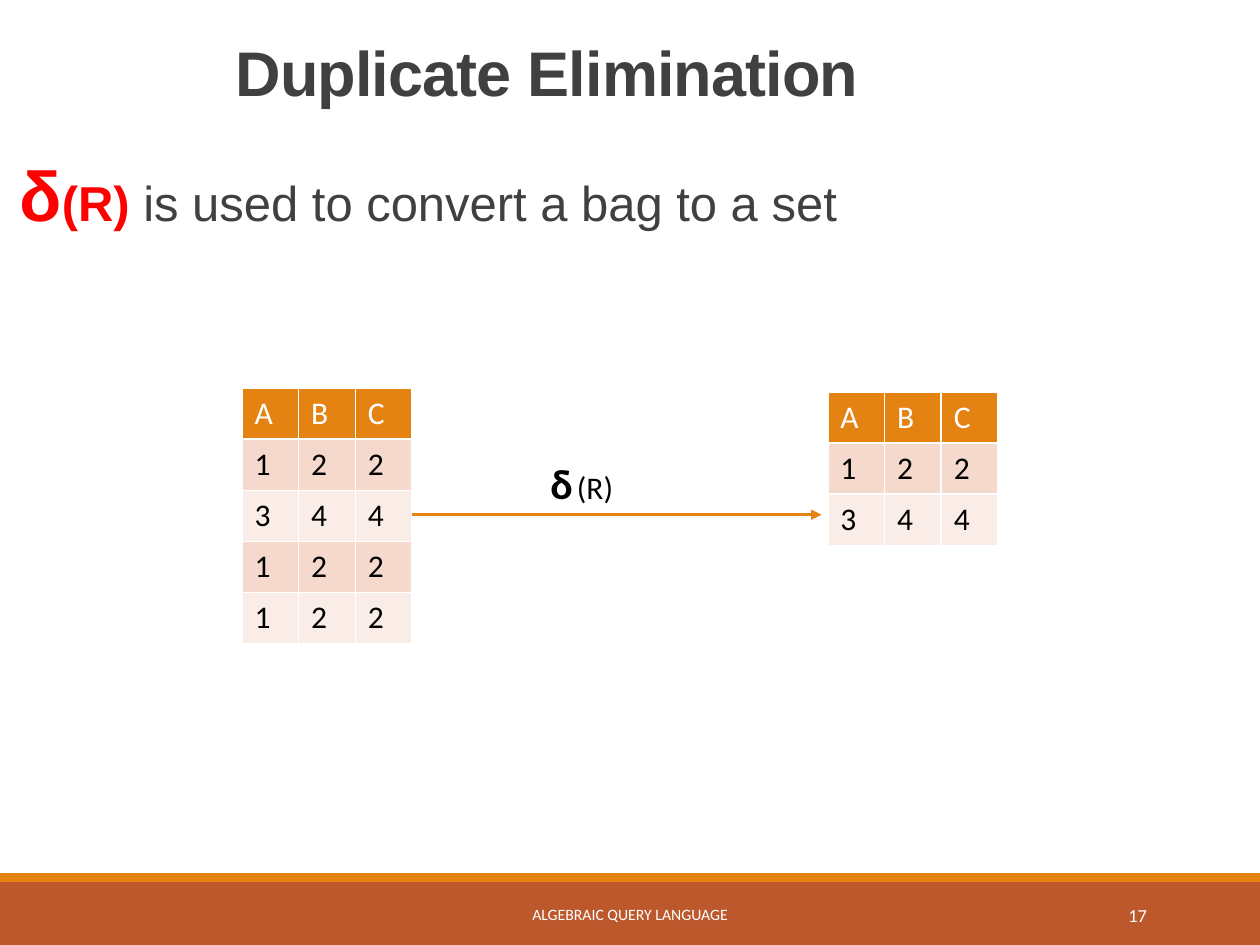
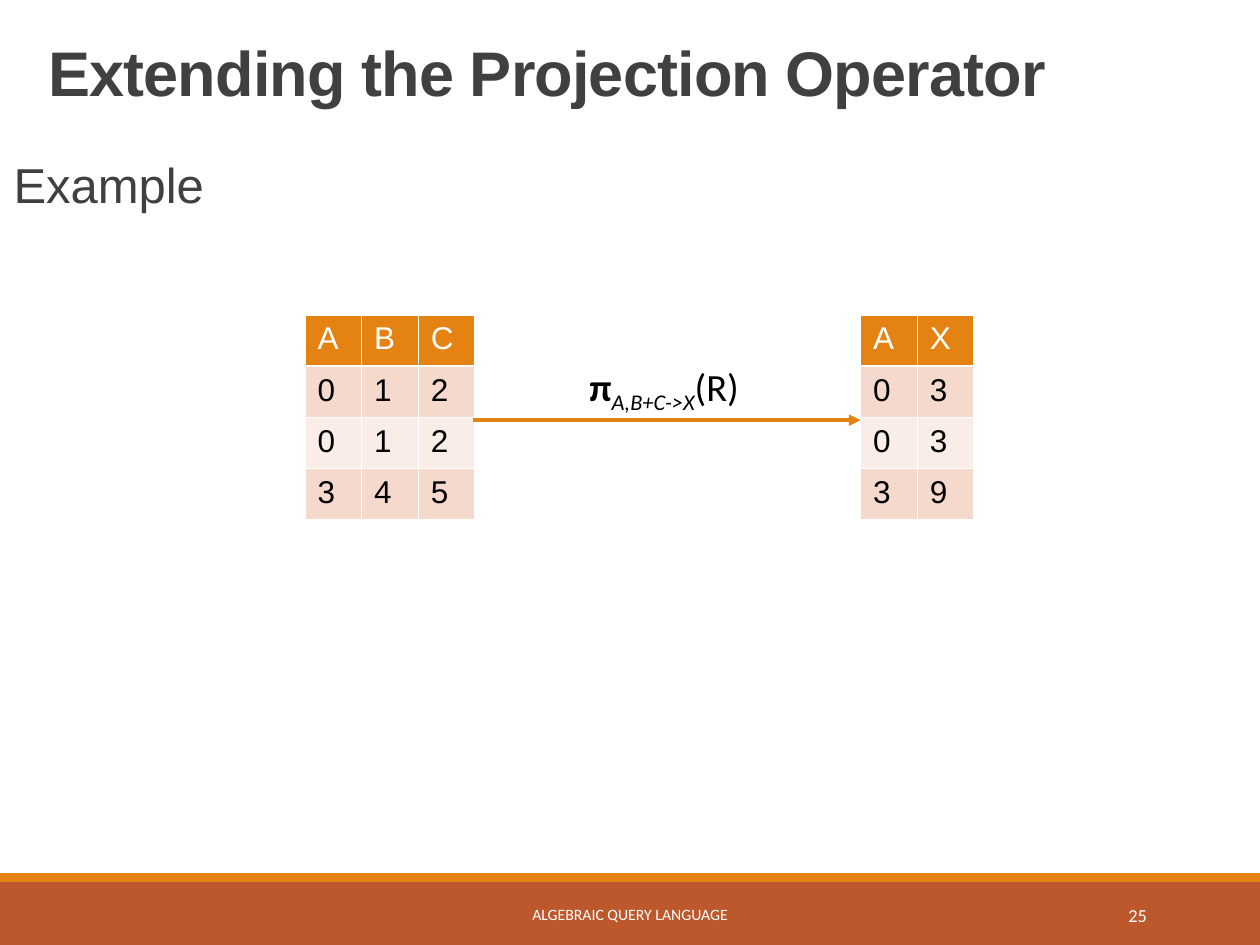
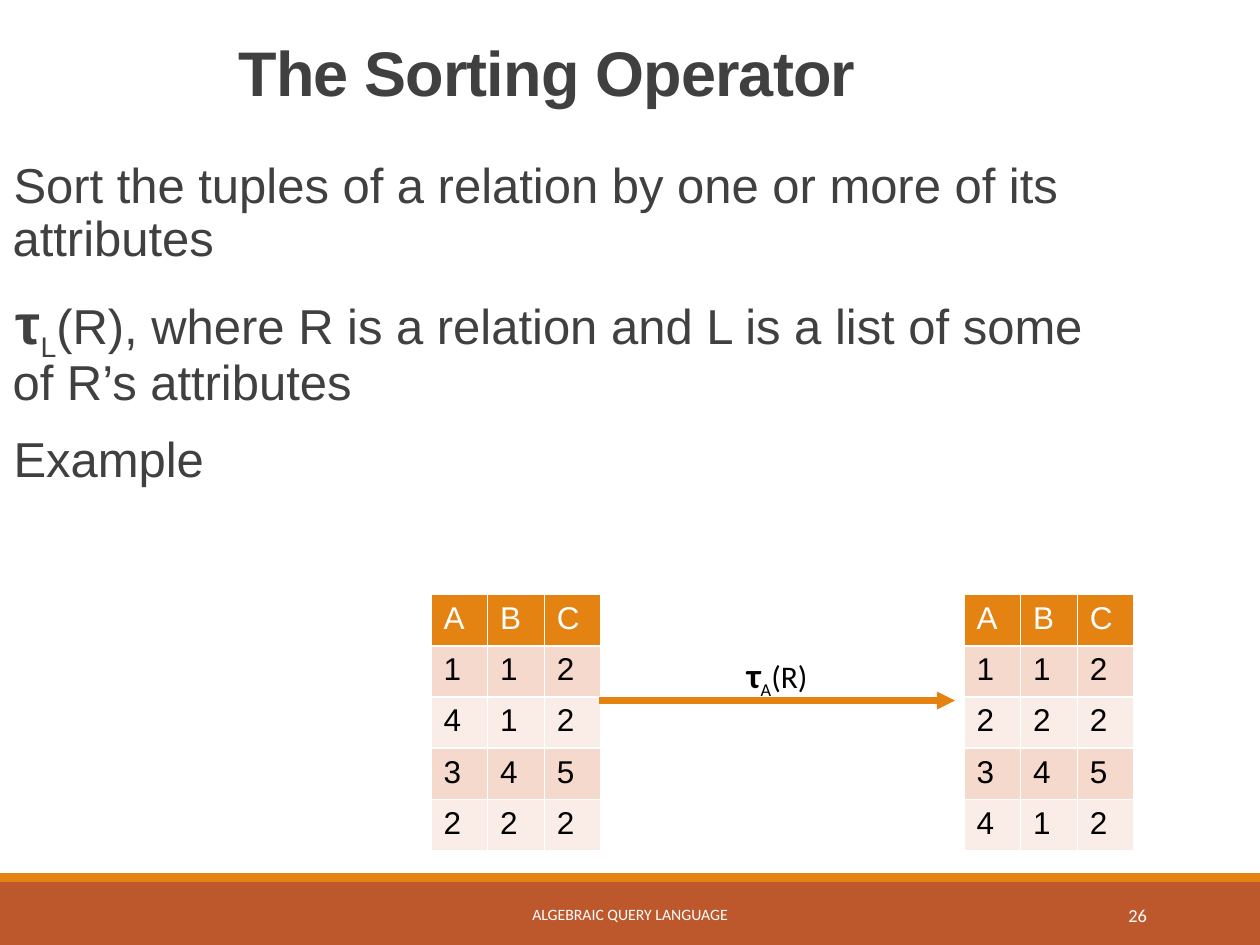
from dataclasses import dataclass, replace

from lxml.etree import SubElement
from pptx import Presentation
from pptx.dml.color import RGBColor
from pptx.enum.shapes import MSO_CONNECTOR, MSO_SHAPE
from pptx.enum.text import MSO_ANCHOR, MSO_AUTO_SIZE, PP_ALIGN
from pptx.oxml.ns import qn
from pptx.util import Inches, Pt


@dataclass(frozen=True)
class Look:
    size: float
    color: str
    face: str = "Arial"
    bold: bool = False
    italic: bool = False


class Theme:
    """Colours and type styles of all slides."""
    orange, rust = "E48312", "BD582C"
    bands = "F5D9CC", "FAEDE7"
    title = Look(36, "404040", bold=True)
    body = Look(28, "404040")
    key = replace(body, color="FF0000", bold=True)
    foot = Look(9, "FFFFFF", "Calibri")
    page = replace(foot, size=10.5)
    head = Look(18, "FFFFFF")
    cell = Look(18, "000000")
    label = Look(18, "000000", "Calibri")


# Grid: 100 columns by 75 rows on the slide
COLS, ROWS, UNIT = 100, 75, 0.1
CELL_W, CELL_H = 4.5, 4.06
SUB = -25000


def grid(*cells):
    return [Inches(c * UNIT) for c in cells]


def rgb(code):
    return RGBColor.from_string(code)


# Text
def style(font, look):
    font.size, font.name = Pt(look.size), look.face
    font.bold, font.italic = look.bold, look.italic
    font.color.rgb = rgb(look.color)


def write(para, look, *runs):
    """Each run is a text, or a text with its own look and baseline shift."""
    style(para.font, look)
    for item in runs:
        text, own, shift = (item, None, 0) if isinstance(item, str) else item
        run = para.add_run()
        run.text = text
        if own:
            style(run.font, own)
        if shift:
            run._r.get_or_add_rPr().set("baseline", str(shift))


def bullet(para):
    """A blank orange bullet with a hanging indent."""
    props = para._p.get_or_add_pPr()
    props.set("marL", str(Inches(0.1)))
    props.set("indent", str(-Inches(0.1)))
    SubElement(SubElement(props, qn("a:buClr")), qn("a:srgbClr"), val=Theme.orange)
    SubElement(props, qn("a:buChar"), char=" ")


def place(shape, *cells):
    shape.left, shape.top, shape.width, shape.height = grid(*cells)
    frame = shape.text_frame
    frame.auto_size, frame.word_wrap = MSO_AUTO_SIZE.NONE, True
    frame.vertical_anchor = MSO_ANCHOR.TOP
    return frame


def title(slide, text):
    para = place(slide.shapes.title, 0, 3.1, 86.8, 9.2).paragraphs[0]
    para.alignment, para.line_spacing = PP_ALIGN.CENTER, 0.85
    write(para, Theme.title, text)
    para.runs[0]._r.get_or_add_rPr().set("spc", "-50")


def body(slide, *items):
    frame = place(slide.placeholders[1], 0, 12.3, 86.8, 55.4)
    frame.margin_left = frame.margin_right = 0
    for i, runs in enumerate(items):
        para = frame.add_paragraph() if i else frame.paragraphs[0]
        bullet(para)
        para.line_spacing = 0.9
        para.space_before, para.space_after = Pt(12), Pt(2)
        write(para, Theme.body, *runs)


# Bands and footer
def band(slide, top, height, color):
    bar = slide.shapes.add_shape(MSO_SHAPE.RECTANGLE, *grid(0, top, COLS, height))
    bar.shadow.inherit = False
    bar.fill.solid()
    bar.fill.fore_color.rgb = rgb(color)
    bar.line.fill.background()


def note(slide, left, width, text, look, align):
    box = slide.shapes.add_textbox(*grid(left, 70.6, width, 4))
    frame = box.text_frame
    frame.word_wrap, frame.vertical_anchor = True, MSO_ANCHOR.MIDDLE
    frame.paragraphs[0].alignment = align
    write(frame.paragraphs[0], look, text)


def footer(slide, page):
    band(slide, 70, ROWS - 70, Theme.rust)
    band(slide, 69.3, 0.7, Theme.orange)
    note(slide, 30.2, 39.6, "ALGEBRAIC QUERY LANGUAGE", Theme.foot, PP_ALIGN.CENTER)
    note(slide, 81.2, 10.8, str(page), Theme.page, PP_ALIGN.RIGHT)


# Relations and the operator between them
def relation(slide, left, top, rows, face="Arial"):
    """Rows are words; each letter fills one cell."""
    high, wide = len(rows), len(rows[0])
    area = grid(left, top, wide * CELL_W, high * CELL_H)
    table = slide.shapes.add_table(high, wide, *area).table
    for r, row in enumerate(rows):
        fill = Theme.bands[(r - 1) % 2] if r else Theme.orange
        look = replace(Theme.cell if r else Theme.head, face=face)
        for c, value in enumerate(row):
            cell = table.cell(r, c)
            cell.fill.solid()
            cell.fill.fore_color.rgb = rgb(fill)
            write(cell.text_frame.paragraphs[0], look, value)


def arrow(slide, start, end, level, weight):
    ends = grid(start, level, end, level)
    link = slide.shapes.add_connector(MSO_CONNECTOR.STRAIGHT, *ends)
    link.line.color.rgb, link.line.width = rgb(Theme.orange), Pt(weight)
    SubElement(link.line._get_or_add_ln(), qn("a:tailEnd"), type="triangle")
    SubElement(link._element.spPr, qn("a:effectLst"))


def label(slide, area, look, *runs):
    frame = slide.shapes.add_textbox(*grid(*area)).text_frame
    frame.word_wrap, frame.auto_size = False, MSO_AUTO_SIZE.SHAPE_TO_FIT_TEXT
    write(frame.paragraphs[0], look, *runs)


def start(deck, text, page, *items):
    slide = deck.slides.add_slide(deck.slide_layouts[1])
    footer(slide, page)
    title(slide, text)
    body(slide, *items)
    return slide


def main():
    deck = Presentation()
    deck.slide_width, deck.slide_height = grid(COLS, ROWS)
    plain = Theme.label

    # Duplicate elimination
    slide = start(deck, "Duplicate Elimination", 17,
                  [("δ", replace(Theme.key, size=40), 0), ("(R)", Theme.key, 0),
                   " is used to convert a bag to a set"])
    relation(slide, 19.2, 30.8, ["ABC", "122", "344", "122", "122"], "Calibri")
    relation(slide, 65.7, 31.1, ["ABC", "122", "344"], "Calibri")
    arrow(slide, 32.7, 65.2, 40.85, 1.5)
    label(slide, (42.7, 35.8, 7.8, 5), plain,
          ("δ", replace(plain, size=24, bold=True), 0), (" ", None, SUB), "(R)")

    # Extended projection
    slide = start(deck, "Extending the Projection Operator", 25, ["Example"])
    relation(slide, 24.2, 25, ["ABC", "012", "012", "345"])
    relation(slide, 68.3, 25, ["AX", "03", "03", "39"])
    arrow(slide, 37.5, 68.3, 33.35, 2.25)
    large = replace(plain, size=22)
    label(slide, (45.8, 28.3, 15.5, 4.7), large,
          ("π", replace(large, bold=True), 0),
          ("A,B+C->X", replace(large, italic=True), SUB), "(R)")

    # Sorting
    slide = start(deck, "The Sorting Operator", 26,
                  ["Sort the tuples of a relation by one or more of its attributes"],
                  [("τ", replace(Theme.body, size=32, bold=True), 0), ("L", None, SUB),
                   "(R), where R is a relation and L is a list of some of R’s attributes"],
                  ["Example"])
    relation(slide, 34.2, 47.2, ["ABC", "112", "412", "345", "222"])
    relation(slide, 76.5, 47.2, ["ABC", "112", "222", "345", "412"])
    arrow(slide, 47.5, 75.8, 55.6, 3.5)
    label(slide, (58.3, 51.4, 8, 4.4), plain,
          ("τ", replace(plain, size=20, bold=True), 0), ("A", None, SUB), "(R)")

    deck.save("out.pptx")


if __name__ == "__main__":
    main()
